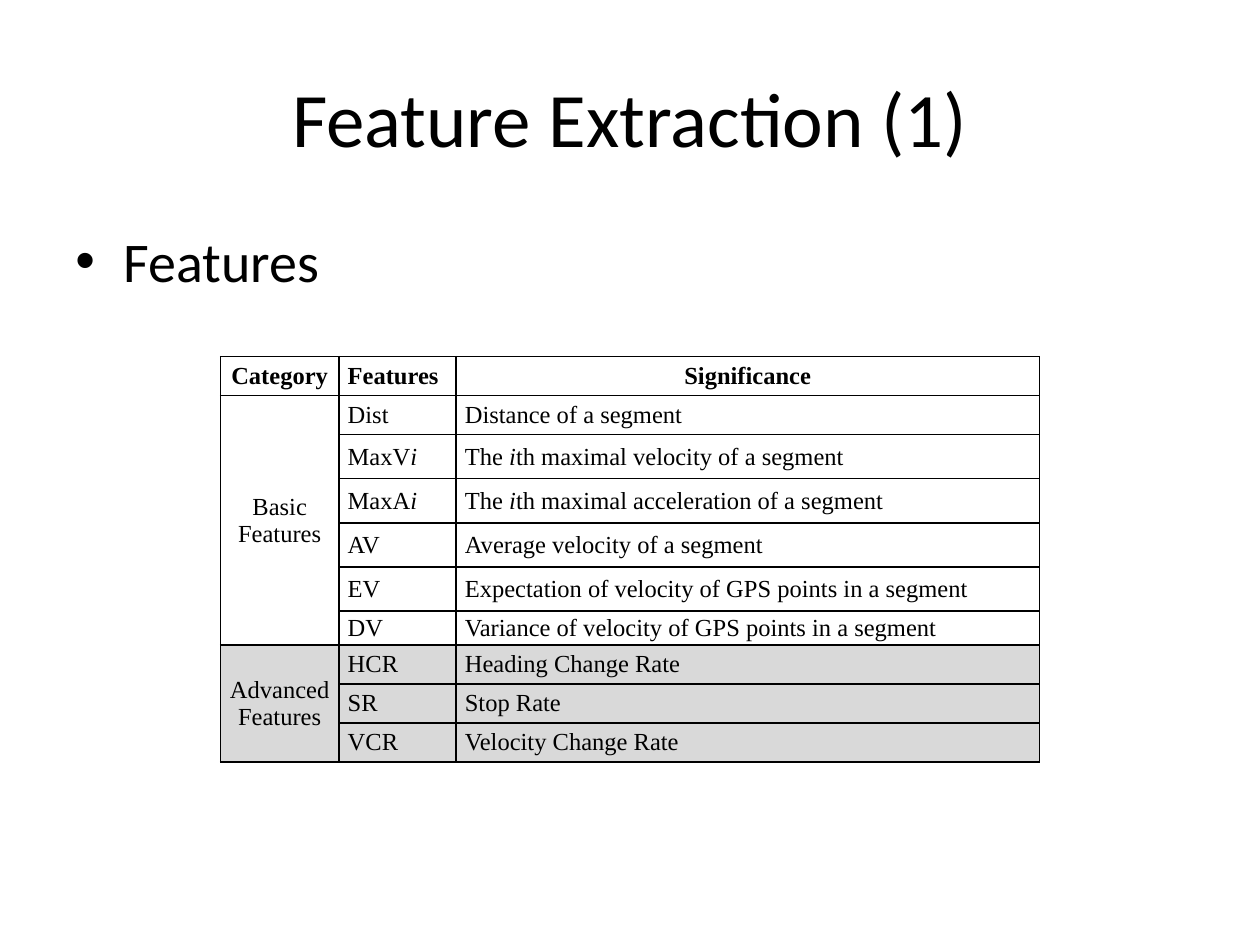
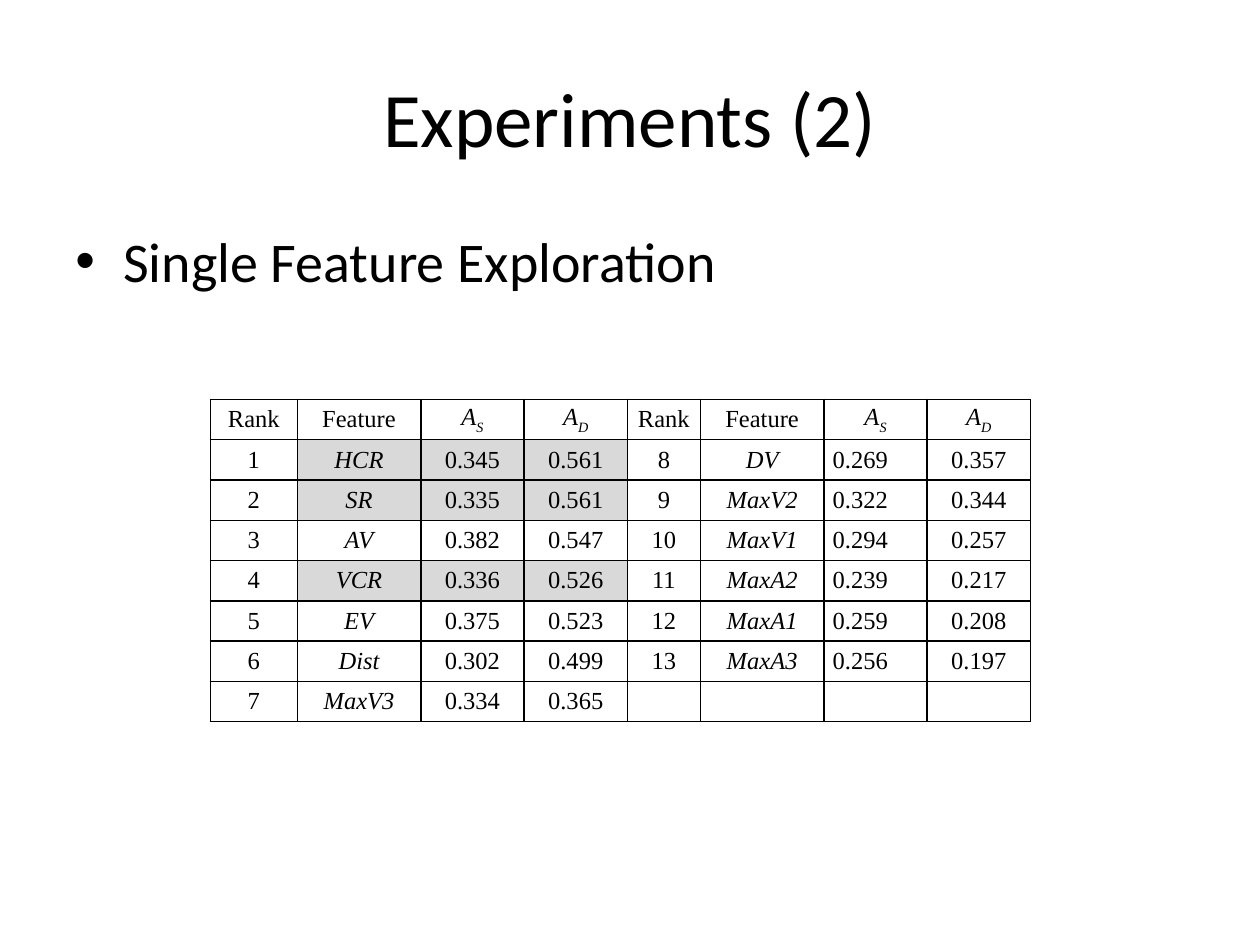
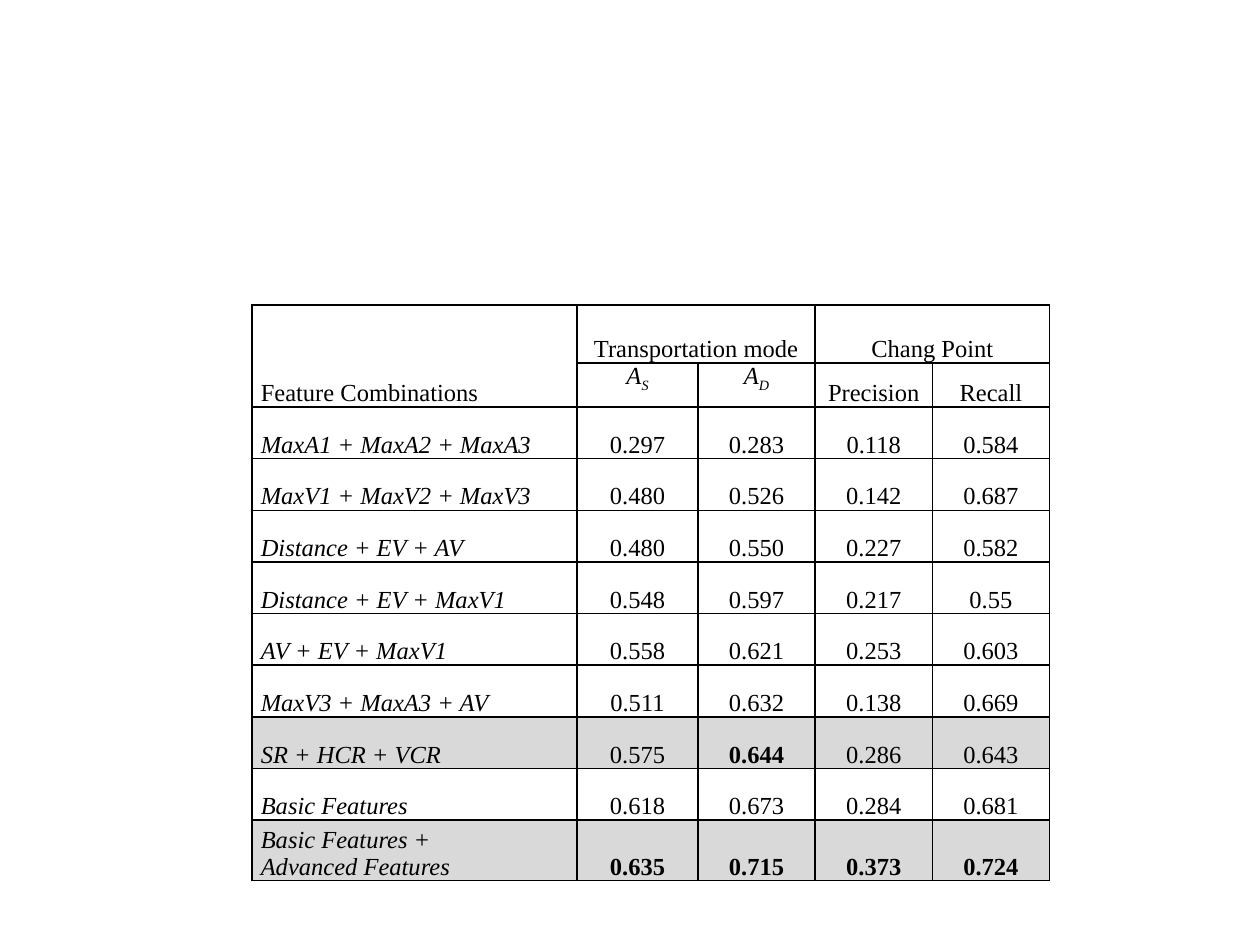
from lxml import etree
from pptx import Presentation
from pptx.dml.color import RGBColor
from pptx.enum.text import MSO_ANCHOR, PP_ALIGN
from pptx.oxml.ns import qn
from pptx.util import Inches, Pt

BLACK = RGBColor(0x00, 0x00, 0x00)
SHADE = RGBColor(0xD9, 0xD9, 0xD9)
HEADING_FONT = "Calibri"
TABLE_FONT = "Times New Roman"
ALIGNMENTS = {"l": PP_ALIGN.LEFT, "c": PP_ALIGN.CENTER}

# A cell is a string, or a list of (text, style) runs: b bold, i italic, s subscript.
A_S = [("A", "i"), ("S", "is")]
A_D = [("A", "i"), ("D", "is")]


def bold(*texts):
    return [[(text, "b")] for text in texts]


FEATURES = {
    "position": (1.75, 2.83),
    "columns": [0.94, 0.93, 4.63],
    "row_heights": [0.31] * 2 + [0.35] * 4 + [0.27] + [0.31] * 3,
    "header_rows": 1,
    "header_align": "clc",
    "body_align": "cll",
    "anchor": MSO_ANCHOR.MIDDLE,
    "merges": [((1, 0), (6, 0)), ((7, 0), (9, 0))],
    "shaded": [(row, column) for row in (7, 8, 9) for column in range(3)],
    "rows": [
        bold("Category", "Features", "Significance"),
        ["Basic Features", "Dist", "Distance of a segment"],
        ["", [("MaxV", ""), ("i", "i")],
         [("The", ""), (" i", "i"), ("th maximal velocity of a segment", "")]],
        ["", [("MaxA", ""), ("i", "i")],
         [("The ", ""), ("i", "i"), ("th maximal acceleration of a segment", "")]],
        ["", "AV", "Average velocity of a segment"],
        ["", "EV", "Expectation of velocity of GPS points in a segment"],
        ["", "DV", "Variance of velocity of GPS points in a segment"],
        ["Advanced Features", "HCR", "Heading Change Rate"],
        ["", "SR", "Stop Rate"],
        ["", "VCR", "Velocity Change Rate"],
    ],
}

SINGLE_FEATURES = {
    "position": (1.67, 3.17),
    "columns": [0.69, 0.98, 0.82, 0.82, 0.58, 0.98, 0.82, 0.82],
    "row_heights": [0.32] * 8,
    "header_rows": 1,
    "header_align": "cccccccc",
    "body_align": "cccccclc",
    "anchor": MSO_ANCHOR.MIDDLE,
    "italic_columns": (1, 5),
    "shaded": [(row, column) for row in (1, 2, 4) for column in (1, 2, 3)],
    "rows": [
        ["Rank", "Feature", A_S, A_D] * 2,
        ["1", "HCR", "0.345", "0.561", "8", "DV", "0.269", "0.357"],
        ["2", "SR", "0.335", "0.561", "9", "MaxV2", "0.322", "0.344"],
        ["3", "AV", "0.382", "0.547", "10", "MaxV1", "0.294", "0.257"],
        ["4", "VCR", "0.336", "0.526", "11", "MaxA2", "0.239", "0.217"],
        ["5", "EV", "0.375", "0.523", "12", "MaxA1", "0.259", "0.208"],
        ["6", "Dist", "0.302", "0.499", "13", "MaxA3", "0.256", "0.197"],
        ["7", "MaxV3", "0.334", "0.365", "", "", "", ""],
    ],
}

COMBINATIONS = {
    "position": (2, 2.42),
    "columns": [2.58, 0.96, 0.93, 0.93, 0.93],
    "row_heights": [0.46, 0.35] + [0.41] * 8 + [0.48],
    "header_rows": 2,
    "header_align": "lcccc",
    "body_align": "lcccc",
    "anchor": MSO_ANCHOR.BOTTOM,
    "top_cells": [(1, 1), (1, 2)],
    "italic_columns": (0,),
    "merges": [((0, 0), (1, 0)), ((0, 1), (0, 2)), ((0, 3), (0, 4))],
    "shaded": [(row, column) for row in (8, 10) for column in range(5)],
    "rows": [
        ["Feature Combinations", "Transportation mode", "", "Chang Point", ""],
        ["", A_S, A_D, "Precision", "Recall"],
        ["MaxA1 + MaxA2 + MaxA3", "0.297", "0.283", "0.118", "0.584"],
        ["MaxV1 + MaxV2 + MaxV3", "0.480", "0.526", "0.142", "0.687"],
        ["Distance + EV + AV", "0.480", "0.550", "0.227", "0.582"],
        ["Distance + EV + MaxV1", "0.548", "0.597", "0.217", "0.55"],
        ["AV + EV + MaxV1", "0.558", "0.621", "0.253", "0.603"],
        ["MaxV3 + MaxA3 + AV", "0.511", "0.632", "0.138", "0.669"],
        ["SR + HCR + VCR", "0.575", *bold("0.644"), "0.286", "0.643"],
        ["Basic Features", "0.618", "0.673", "0.284", "0.681"],
        ["Basic Features +\nAdvanced Features", *bold("0.635", "0.715", "0.373", "0.724")],
    ],
}

SLIDES = [
    ("Feature Extraction (1)", "Features", FEATURES),
    ("Experiments (2)", "Single Feature Exploration", SINGLE_FEATURES),
    (None, None, COMBINATIONS),
]


def style_font(font, name, size):
    font.name = name
    font.size = Pt(size)
    font.color.rgb = BLACK


def add_text(slide, box, content, size):
    text_frame = slide.shapes.add_textbox(*map(Inches, box)).text_frame
    text_frame.word_wrap = True
    text_frame.text = content
    paragraph = text_frame.paragraphs[0]
    style_font(paragraph.runs[0].font, HEADING_FONT, size)
    return text_frame, paragraph


def add_title(slide, content):
    text_frame, paragraph = add_text(slide, (0.5, 0.3, 9, 1.25), content, 44)
    text_frame.vertical_anchor = MSO_ANCHOR.MIDDLE
    paragraph.alignment = PP_ALIGN.CENTER


def add_bullet(slide, content):
    _, paragraph = add_text(slide, (0.5, 1.75, 9, 4.95), content, 32)
    paragraph.space_before = Pt(6.4)
    properties = paragraph._p.get_or_add_pPr()
    properties.set("marL", str(Inches(0.38)))
    properties.set("indent", str(-Inches(0.38)))
    etree.SubElement(properties, qn("a:buFont"), typeface="Arial")
    etree.SubElement(properties, qn("a:buChar"), char="•")


def add_borders(cell):
    properties = cell._tc.get_or_add_tcPr()
    for side in ("a:lnL", "a:lnR", "a:lnT", "a:lnB"):
        line = etree.SubElement(properties, qn(side), w=str(Pt(1)))
        fill = etree.SubElement(line, qn("a:solidFill"))
        etree.SubElement(fill, qn("a:srgbClr"), val=str(BLACK))


def write_cell(cell, content, alignment, italic):
    """Write one paragraph a line for a string, or one paragraph of styled runs."""
    if isinstance(content, str):
        lines = [[(line, "i" if italic else "")] for line in content.split("\n")]
    else:
        lines = [content]
    cell.text_frame.text = "\n".join([""] * len(lines))
    for paragraph, runs in zip(cell.text_frame.paragraphs, lines):
        paragraph.alignment = alignment
        for content_part, style in runs:
            if not content_part:
                continue
            run = paragraph.add_run()
            run.text = content_part
            style_font(run.font, TABLE_FONT, 14)
            run.font.bold = "b" in style
            run.font.italic = "i" in style
            if "s" in style:
                run.font._element.set("baseline", "-25000")


def add_grid(slide, grid):
    rows, widths, heights = grid["rows"], grid["columns"], grid["row_heights"]
    left, top = grid["position"]
    table = slide.shapes.add_table(
        len(rows), len(widths), Inches(left), Inches(top),
        Inches(sum(widths)), Inches(sum(heights))).table
    table.first_row = table.horz_banding = False
    for column, width in zip(table.columns, widths):
        column.width = Inches(width)
    for row, height in zip(table.rows, heights):
        row.height = Inches(height)

    for row_index, row in enumerate(rows):
        is_header = row_index < grid["header_rows"]
        alignments = grid["header_align" if is_header else "body_align"]
        for column_index, content in enumerate(row):
            place = (row_index, column_index)
            cell = table.cell(*place)
            cell.margin_left = cell.margin_right = Inches(0.07)
            cell.margin_top = cell.margin_bottom = 0
            is_top = place in grid.get("top_cells", ())
            cell.vertical_anchor = MSO_ANCHOR.TOP if is_top else grid["anchor"]
            italic = not is_header and column_index in grid.get("italic_columns", ())
            write_cell(cell, content, ALIGNMENTS[alignments[column_index]], italic)
            add_borders(cell)
            if place in grid["shaded"]:
                cell.fill.solid()
                cell.fill.fore_color.rgb = SHADE
            else:
                cell.fill.background()

    for first, last in grid.get("merges", ()):
        table.cell(*first).merge(table.cell(*last))


def main():
    presentation = Presentation()
    presentation.slide_width = Inches(10)
    presentation.slide_height = Inches(7.5)
    for title, bullet, grid in SLIDES:
        slide = presentation.slides.add_slide(presentation.slide_layouts[6])
        if title:
            add_title(slide, title)
            add_bullet(slide, bullet)
        add_grid(slide, grid)
    presentation.save("out.pptx")


if __name__ == "__main__":
    main()
